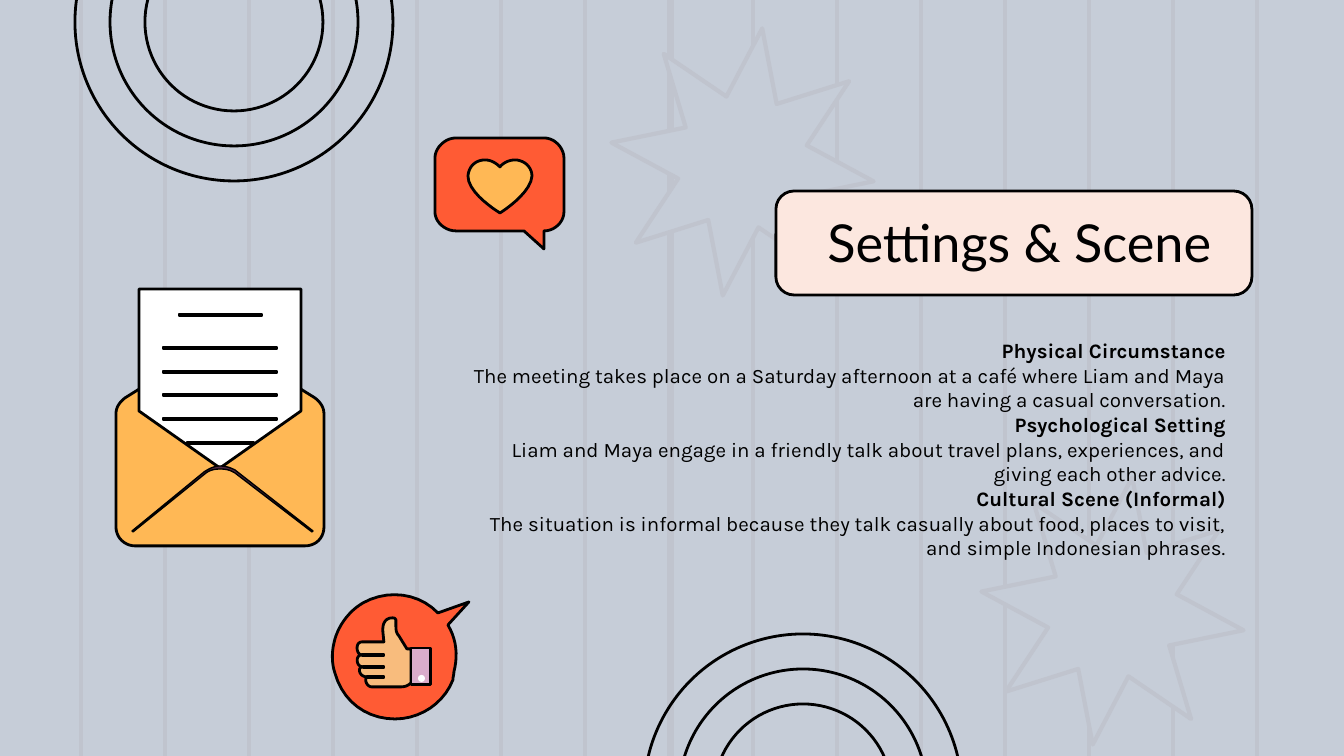
from dataclasses import dataclass

from lxml.etree import SubElement
from pptx import Presentation
from pptx.dml.color import RGBColor
from pptx.enum.shapes import MSO_CONNECTOR, MSO_SHAPE
from pptx.enum.text import MSO_ANCHOR, MSO_AUTO_SIZE, PP_ALIGN
from pptx.oxml.ns import qn
from pptx.util import Pt

TITLE = "Settings & Scene"
SECTIONS = [
    ("Physical Circumstance",
     "The meeting takes place on a Saturday afternoon at a café where Liam and Maya are having a casual conversation."),
    ("Psychological Setting",
     "Liam and Maya engage in a friendly talk about travel plans, experiences, and giving each other advice."),
    ("Cultural Scene (Informal)",
     "The situation is informal because they talk casually about food, places to visit, and simple Indonesian phrases."),
]


@dataclass(frozen=True)
class Theme:
    background: str = "C6CDD8"
    pattern: str = "C0C4CE"
    ink: str = "000000"
    stroke: str = "512944"
    card: str = "FCE7DF"
    orange: str = "FF5B34"
    yellow: str = "FFB855"
    skin: str = "F8BC7D"
    cuff: str = "DAACCB"
    white: str = "FFFFFF"
    title_font: str = "Lato"
    body_font: str = "Karla"
    title_size: int = 28
    body_size: int = 11
    pattern_width: float = 2.25
    outline_width: float = 1.5
    stroke_width: float = 0.75


THEME = Theme()
SCALE = 914400 / 134.4
WIDTH, HEIGHT = 1344, 756
STRIPES = [81 + 84 * index for index in range(15)] + [672]
STARS = [(980, 476, 265, 270), (610, 27, 265, 270)]
RING_CENTERS = [(234, 22), (803, 793)]
RING_RADII = [159, 124, 89]
CARD = (776, 191, 476, 104)
TITLE_BOX = (375, 210, 864, 86)
BODY_BOX = (375, 325, 864, 257)

# Two numbers draw a line to a point; six draw a cubic curve.
HEART_BUBBLE = [
    (544, 138), (555, 138, 564, 148, 564, 158), (564, 212), (564, 222, 555, 231, 544, 231),
    (544, 249), (524, 231), (456, 231), (445, 231, 435, 222, 435, 212), (435, 158),
    (435, 148, 445, 138, 456, 138)]
HEART = [
    (515, 160), (524, 160, 532, 167, 532, 176), (531, 194, 500, 213, 500, 213),
    (500, 213, 468, 194, 468, 176), (469, 165, 477, 160, 485, 160),
    (491, 160, 496, 163, 500, 167), (503, 163, 509, 160, 515, 160)]
THUMB_BUBBLE = [
    (453, 680), (453, 677, 454, 675, 454, 672), (458, 656, 457, 640, 448, 625), (469, 602),
    (438, 613), (419, 593, 388, 589, 363, 603), (351, 610, 341, 622, 336, 636),
    (332, 648, 331, 661, 335, 673), (343, 702, 367, 719, 395, 719), (421, 719, 444, 703, 453, 680)]
HAND = [
    (392, 618), (387, 618, 382, 622, 383, 632), (384, 642), (362, 642),
    (355, 642, 356, 655, 362, 655), (355, 655, 356, 667, 363, 667), (357, 667, 359, 677, 367, 677),
    (364, 680, 367, 687, 372, 687), (401, 687), (406, 687, 409, 685, 411, 683), (411, 649),
    (407, 649), (399, 636), (396, 633, 396, 629, 396, 626), (396, 620), (395, 618, 394, 618, 392, 618)]
ENVELOPE = [
    (220, 343), (216, 343, 212, 343, 210, 345), (125, 398), (120, 402, 116, 407, 116, 414),
    (116, 527), (116, 538, 125, 546, 135, 546), (305, 546), (316, 546, 324, 538, 324, 527),
    (324, 414), (324, 407, 320, 402, 315, 398), (230, 345), (227, 343, 223, 343, 220, 343)]
LETTER = [(139, 289), (139, 411), (220, 468), (301, 411), (301, 289)]
FLAP = [
    (220, 466), (215, 466, 210, 468, 204, 472), (132, 531), (133, 532), (206, 473),
    (210, 470, 215, 469, 220, 469), (226, 469, 230, 470, 235, 473), (312, 532), (313, 531),
    (235, 470), (231, 468, 226, 466, 220, 466)]
CUFF = (411, 648, 20, 37)
BUTTON = (418, 675, 7, 7)
FINGER_STROKES = [(362, 654, 22), (363, 666, 21), (367, 676, 17)]
LETTER_STROKES = [(179, 314, 83), (163, 347, 114), (163, 371, 114), (163, 394, 114),
                  (163, 418, 114), (187, 442, 67)]

presentation = Presentation()


def px(value):
    return round(value * SCALE)


def paint(shape, fill=None, line=None, width=THEME.outline_width):
    shape.shadow.inherit = False
    if fill:
        shape.fill.solid()
        shape.fill.fore_color.rgb = RGBColor.from_string(fill)
    else:
        shape.fill.background()
    if line:
        shape.line.color.rgb = RGBColor.from_string(line)
        shape.line.width = Pt(width)
    else:
        shape.line.fill.background()
    return shape


def add_preset(kind, box, *style):
    return paint(slide.shapes.add_shape(kind, *map(px, box)), *style)


def add_outline(segments, *style):
    points = [segments[0]]
    for segment in segments[1:]:
        if len(segment) == 2:
            points.append(segment)
            continue
        start = points[-1]
        controls = [start, segment[:2], segment[2:4], segment[4:]]
        for step in range(1, 11):
            t = step / 10
            weights = ((1 - t) ** 3, 3 * t * (1 - t) ** 2, 3 * t * t * (1 - t), t ** 3)
            points.append(tuple(sum(weight * control[axis] for weight, control in zip(weights, controls))
                                for axis in (0, 1)))
    vertices = [(px(x), px(y)) for x, y in points]
    builder = slide.shapes.build_freeform(*vertices[0], scale=1.0)
    builder.add_line_segments(vertices[1:], close=True)
    return paint(builder.convert_to_shape(), *style)


def add_strokes(strokes):
    for left, top, width in strokes:
        add_preset(MSO_SHAPE.RECTANGLE, (left, top, width, 2), THEME.stroke, THEME.ink, THEME.stroke_width)


def place_text(placeholder, box, margins):
    slide.shapes._spTree.append(placeholder._element)
    placeholder.left, placeholder.top, placeholder.width, placeholder.height = map(px, box)
    frame = placeholder.text_frame
    frame.word_wrap = True
    frame.auto_size = MSO_AUTO_SIZE.NONE
    frame.vertical_anchor = MSO_ANCHOR.TOP
    frame.margin_left, frame.margin_top, frame.margin_right, frame.margin_bottom = map(px, margins)
    return frame


def format_paragraph(paragraph, font_name, size):
    paragraph.alignment = PP_ALIGN.RIGHT
    paragraph.space_before = Pt(0)
    paragraph.line_spacing = 1.0
    paragraph.font.name = font_name
    paragraph.font.size = Pt(size)
    paragraph.font.color.rgb = RGBColor.from_string(THEME.ink)


presentation.slide_width, presentation.slide_height = px(WIDTH), px(HEIGHT)
slide = presentation.slides.add_slide(presentation.slide_layouts[0])
slide.background.fill.solid()
slide.background.fill.fore_color.rgb = RGBColor.from_string(THEME.background)

for x in STRIPES:
    stripe = slide.shapes.add_connector(MSO_CONNECTOR.STRAIGHT, px(x), 0, px(x), px(HEIGHT))
    stripe.line.color.rgb = RGBColor.from_string(THEME.pattern)
    stripe.line.width = Pt(THEME.pattern_width)
    SubElement(stripe._element.spPr, qn("a:effectLst"))
for box in STARS:
    star = add_preset(MSO_SHAPE.STAR_8_POINT, box, THEME.background, THEME.pattern, THEME.pattern_width)
    star.adjustments[0] = 0.25
    star.rotation = 8.4
for center_x, center_y in RING_CENTERS:
    for radius in RING_RADII:
        add_preset(MSO_SHAPE.OVAL, (center_x - radius, center_y - radius, 2 * radius, 2 * radius), None, THEME.ink)

card = add_preset(MSO_SHAPE.ROUNDED_RECTANGLE, CARD, THEME.card, THEME.ink)
card.adjustments[0] = 0.175

title_frame = place_text(slide.shapes.title, TITLE_BOX, (13, 0, 28, 13))
title_frame.text = TITLE
format_paragraph(title_frame.paragraphs[0], THEME.title_font, THEME.title_size)

body_frame = place_text(slide.placeholders[1], BODY_BOX, (13, 13, 13, 13))
for index, (heading, sentence) in enumerate(SECTIONS):
    paragraph = body_frame.add_paragraph() if index else body_frame.paragraphs[0]
    format_paragraph(paragraph, THEME.body_font, THEME.body_size)
    properties = paragraph._p.get_or_add_pPr()
    properties.set("marL", str(px(67)))
    properties.set("indent", str(px(-51)))
    heading_run = paragraph.add_run()
    heading_run.text = heading
    heading_run.font.bold = True
    paragraph.add_line_break()
    paragraph.add_run().text = sentence

add_outline(HEART_BUBBLE, THEME.orange, THEME.ink)
add_outline(HEART, THEME.yellow, THEME.ink)
add_outline(THUMB_BUBBLE, THEME.orange, THEME.ink)
add_outline(HAND, THEME.skin, THEME.ink)
add_preset(MSO_SHAPE.RECTANGLE, CUFF, THEME.cuff, THEME.ink)
add_strokes(FINGER_STROKES)
add_preset(MSO_SHAPE.OVAL, BUTTON, THEME.white)
add_outline(ENVELOPE, THEME.yellow, THEME.ink)
add_outline(LETTER, THEME.white, THEME.ink)
add_outline(FLAP, THEME.stroke, THEME.ink, THEME.stroke_width)
add_strokes(LETTER_STROKES)

presentation.save("out.pptx")
